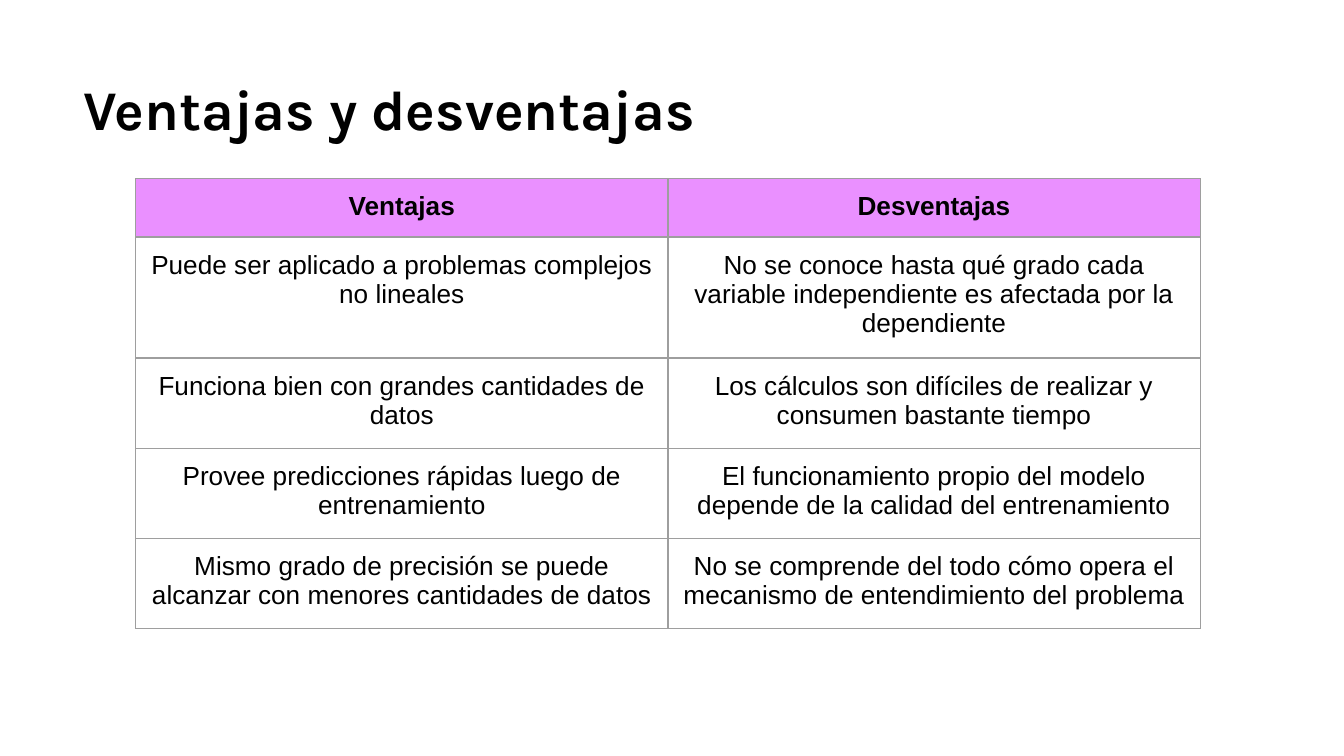
from typing import NamedTuple

from lxml import etree
from pptx import Presentation
from pptx.dml.color import RGBColor
from pptx.enum import text
from pptx.oxml import ns
from pptx.util import Inches, Pt

SLIDE_WIDTH = 10
SLIDE_HEIGHT = SLIDE_WIDTH * 9 / 16
BLACK, WHITE, PINK, GRAY = "000000", "FFFFFF", "EA90FF", "9E9E9E"
INSET = Inches(0.1)


class Row(NamedTuple):
    advantage: str
    drawback: str
    height: float = 0.67
    header: bool = False


ROWS = [
    Row("Ventajas", "Desventajas", 0.43, True),
    Row("Puede ser aplicado a problemas complejos no lineales",
        "No se conoce hasta qué grado cada variable independiente es afectada por la dependiente",
        0.9),
    Row("Funciona bien con grandes cantidades de datos",
        "Los cálculos son difíciles de realizar y consumen bastante tiempo"),
    Row("Provee predicciones rápidas luego de entrenamiento",
        "El funcionamiento propio del modelo depende de la calidad del entrenamiento"),
    Row("Mismo grado de precisión se puede alcanzar con menores cantidades de datos",
        "No se comprende del todo cómo opera el mecanismo de entendimiento del problema"),
]


def rgb(color: str) -> RGBColor:
    return RGBColor.from_string(color)


def set_font(p, name: str, size: float, bold: bool) -> None:
    for r in p.runs:
        r.font.name, r.font.size, r.font.bold = name, Pt(size), bold
        r.font.color.rgb = rgb(BLACK)


def set_insets(box) -> None:
    box.margin_left = box.margin_right = box.margin_top = box.margin_bottom = INSET


def add_borders(cell, color: str, width: float) -> None:
    """Outline all four sides; borders must precede the fill in tcPr."""
    tc_pr = cell._tc.get_or_add_tcPr()
    for i, side in enumerate(("lnL", "lnR", "lnT", "lnB")):
        ln = etree.Element(ns.qn(f"a:{side}"), w=str(Pt(width)))
        fill = etree.SubElement(ln, ns.qn("a:solidFill"))
        etree.SubElement(fill, ns.qn("a:srgbClr"), val=color)
        tc_pr.insert(i, ln)


def fill_cell(cell, words: str, header: bool) -> None:
    cell.text = words
    set_insets(cell)
    cell.vertical_anchor = text.MSO_ANCHOR.TOP
    p = cell.text_frame.paragraphs[0]
    p.alignment = text.PP_ALIGN.CENTER
    set_font(p, "Arial", 14, header)
    if header:
        cell.fill.solid()
        cell.fill.fore_color.rgb = rgb(PINK)
    else:
        cell.fill.background()
    add_borders(cell, GRAY, 0.75)


def add_title(s, words: str) -> None:
    sp = s.shapes.title
    sp.left, sp.top, sp.width, sp.height = map(Inches, (0.52, 0.51, 8.9, 0.66))
    tf = sp.text_frame
    tf.text = words
    tf.word_wrap = True
    tf.auto_size = text.MSO_AUTO_SIZE.SHAPE_TO_FIT_TEXT
    tf.vertical_anchor = text.MSO_ANCHOR.TOP
    set_insets(tf)
    p = tf.paragraphs[0]
    p.alignment = text.PP_ALIGN.LEFT
    p.line_spacing = 0.9
    set_font(p, "Karla", 30, True)


def add_comparison(s, rows: list[Row]) -> None:
    height = sum(row.height for row in rows)
    table = s.shapes.add_table(len(rows), 2, Inches(1.01), Inches(1.33),
                               Inches(7.92), Inches(height)).table
    table.horz_banding = False
    for i, row in enumerate(rows):
        table.rows[i].height = Inches(row.height)
        for j, words in enumerate((row.advantage, row.drawback)):
            fill_cell(table.cell(i, j), words, row.header)


def main() -> None:
    prs = Presentation()
    prs.slide_width, prs.slide_height = Inches(SLIDE_WIDTH), Inches(SLIDE_HEIGHT)
    s = prs.slides.add_slide(prs.slide_layouts[5])
    s.background.fill.solid()
    s.background.fill.fore_color.rgb = rgb(WHITE)
    add_title(s, "Ventajas y desventajas")
    add_comparison(s, ROWS)
    prs.save("out.pptx")


if __name__ == "__main__":
    main()
